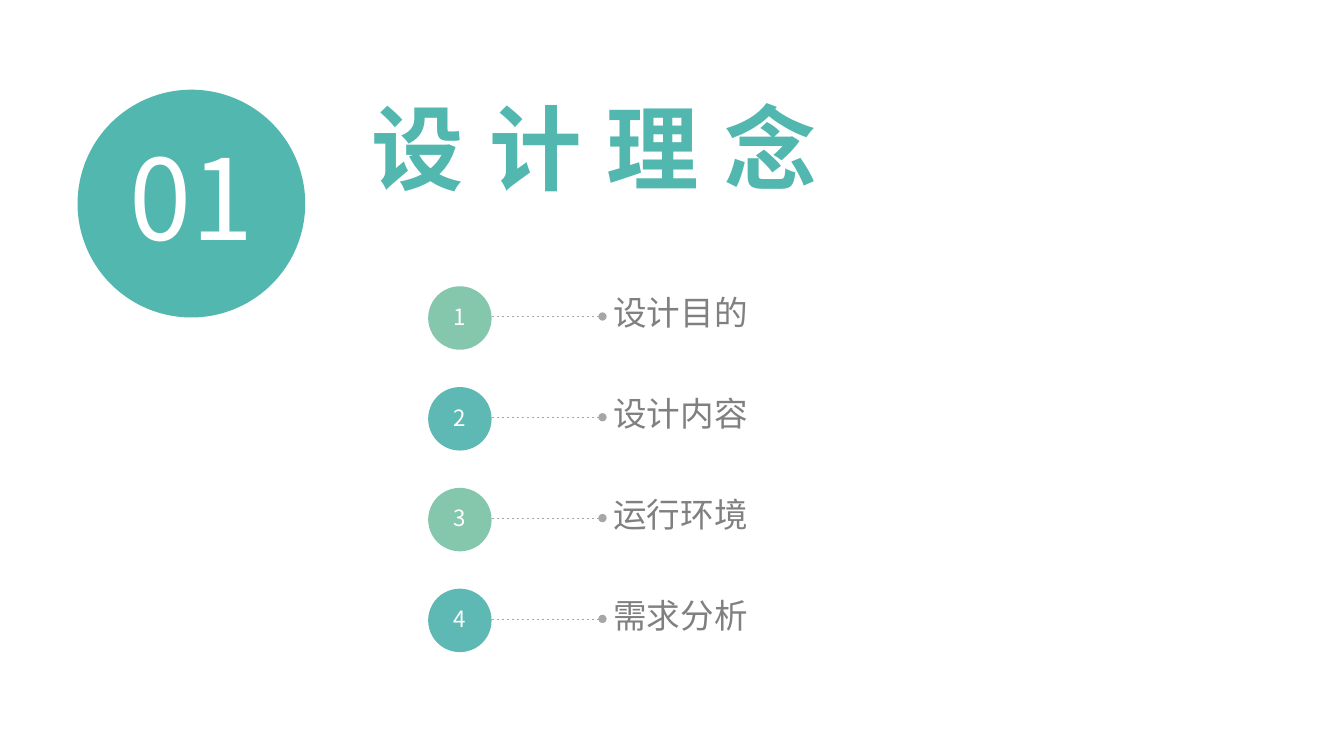
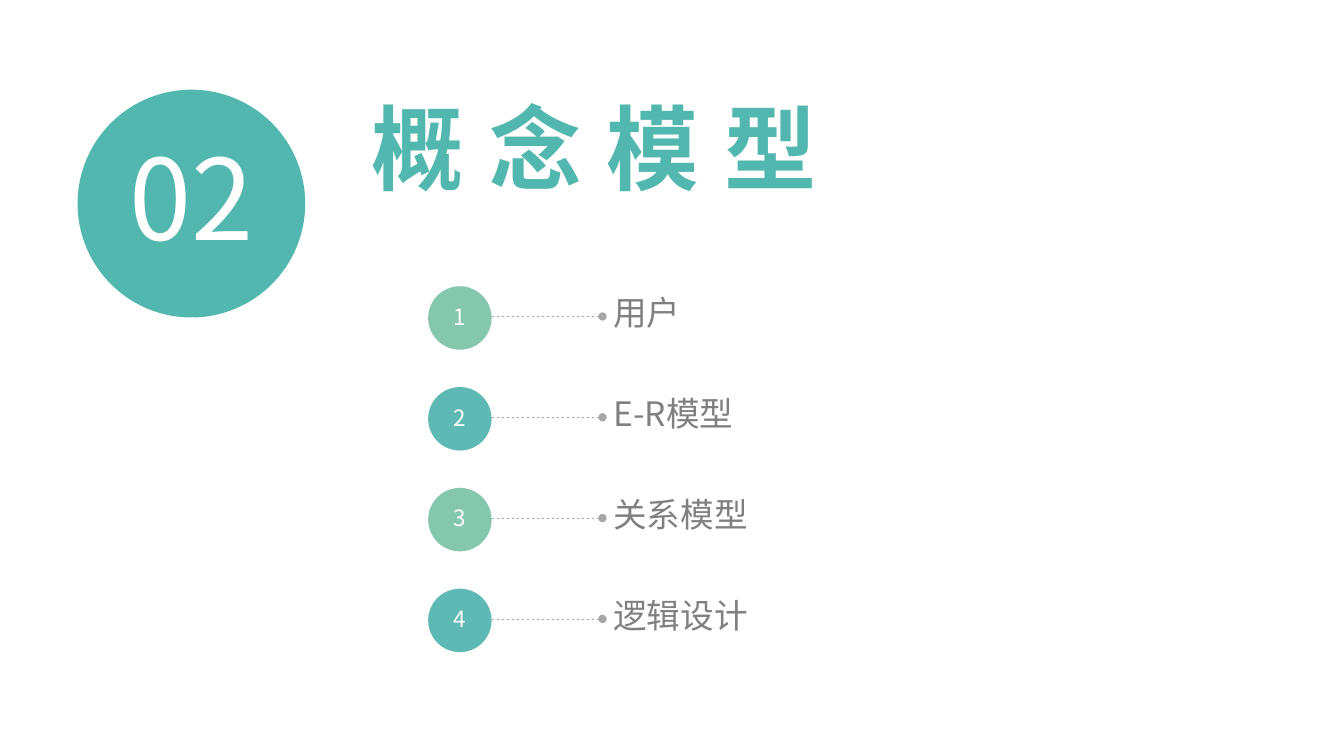
"""Build two section-divider slides, each with a numbered list of topics."""
from lxml.etree import SubElement
from pptx import Presentation
from pptx.dml.color import RGBColor
from pptx.enum.dml import MSO_LINE
from pptx.enum.shapes import MSO_CONNECTOR, MSO_SHAPE
from pptx.enum.text import MSO_ANCHOR as ANCHOR, MSO_AUTO_SIZE, PP_ALIGN as ALIGN
from pptx.oxml.ns import qn
from pptx.util import Inches, Pt

SECTIONS = [
    ("01", "设计理念", ["设计目的", "设计内容", "运行环境", "需求分析"]),
    ("02", "概念模型", ["用户", "E-R模型", "关系模型", "逻辑设计"]),
]
FONT = "Noto Sans CJK SC"
TEAL, GREEN, BLUE = "52B7AF", "85C7AC", "5EB9B4"
WHITE, GREY, RULE = "FFFFFF", "808080", "A6A6A6"
LIST_LEFT, LIST_TOP, PITCH = 4.25, 2.84, 1.0
DOT, LEADER, LABEL_WIDTH, LABEL_HEIGHT = 0.63, 1.1, 3.6, 0.87


def rgb(value):
    """Turn a hex string into a colour."""
    return RGBColor.from_string(value)


def write(sp, text, size, color, align=ALIGN.LEFT, anchor=ANCHOR.TOP,
          bold=False, spacing=None, wrap=True):
    """Put one formatted paragraph into a shape."""
    tf = sp.text_frame
    tf.word_wrap = wrap
    tf.auto_size = MSO_AUTO_SIZE.NONE
    tf.vertical_anchor = anchor
    p = tf.paragraphs[0]
    p.alignment, p.line_spacing = align, 0.92
    r = p.add_run()
    r.text = text
    r.font.name, r.font.size, r.font.bold = FONT, Pt(size), bold
    r.font.color.rgb = rgb(color)
    props = r.font._element
    SubElement(props, qn("a:ea")).set("typeface", FONT)
    if spacing:
        props.set("spc", str(spacing * 100))


def add_circle(slide, left, top, diameter, fill, text, size, wrap=True):
    """Draw a filled circle with a centred number."""
    box = map(Inches, (left, top, diameter, diameter))
    sp = slide.shapes.add_shape(MSO_SHAPE.OVAL, *box)
    sp.shadow.inherit = False
    sp.fill.solid()
    sp.fill.fore_color.rgb = rgb(fill)
    sp.line.fill.background()
    write(sp, text, size, WHITE, ALIGN.CENTER, ANCHOR.MIDDLE, wrap=wrap)


def add_leader(slide, left, y):
    """Draw a dashed line that ends in a dot."""
    ends = map(Inches, (left, y, left + LEADER, y))
    line = slide.shapes.add_connector(MSO_CONNECTOR.STRAIGHT, *ends)
    line.line.color.rgb = rgb(RULE)
    line.line.width = Pt(0.5)
    line.line.dash_style = MSO_LINE.DASH
    SubElement(line.line._get_or_add_ln(), qn("a:tailEnd")).set("type", "oval")
    SubElement(line._element.spPr, qn("a:effectLst"))


def add_topic(slide, index, text):
    """Draw one row: numbered circle, leader and label."""
    top = LIST_TOP + index * PITCH
    right = LIST_LEFT + DOT
    add_circle(slide, LIST_LEFT, top, DOT, (GREEN, BLUE)[index % 2], str(index + 1), 16)
    add_leader(slide, right, top + 0.3)
    box = map(Inches, (right + LEADER + 0.01, top + 0.05, LABEL_WIDTH, LABEL_HEIGHT))
    write(slide.shapes.add_textbox(*box), text, 24, GREY)


def add_section(prs, number, heading, topics):
    """Add one section slide."""
    slide = prs.slides.add_slide(prs.slide_layouts[5])
    title = slide.shapes.title
    title.left, title.top, title.width, title.height = map(Inches, (3.59, 1.01, 5.51, 1.21))
    title.text_frame.margin_top = 0
    write(title, heading, 66, TEAL, ALIGN.JUSTIFY, bold=True, spacing=18)
    add_circle(slide, 0.77, 0.89, 2.26, TEAL, number, 80, wrap=False)
    for index, topic in enumerate(topics):
        add_topic(slide, index, topic)


def main():
    """Build and save the presentation."""
    prs = Presentation()
    prs.slide_width, prs.slide_height = Inches(13.34), Inches(7.5)
    for section in SECTIONS:
        add_section(prs, *section)
    prs.save("out.pptx")


if __name__ == "__main__":
    main()
